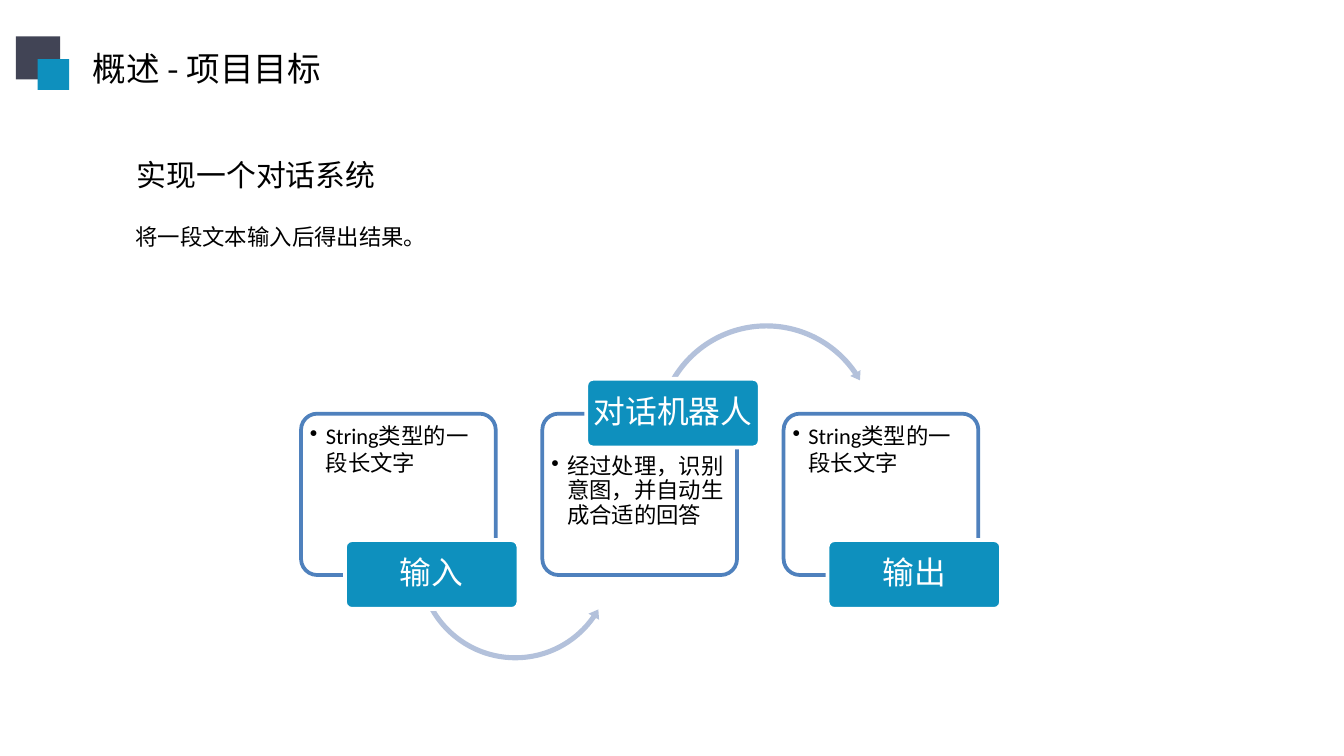
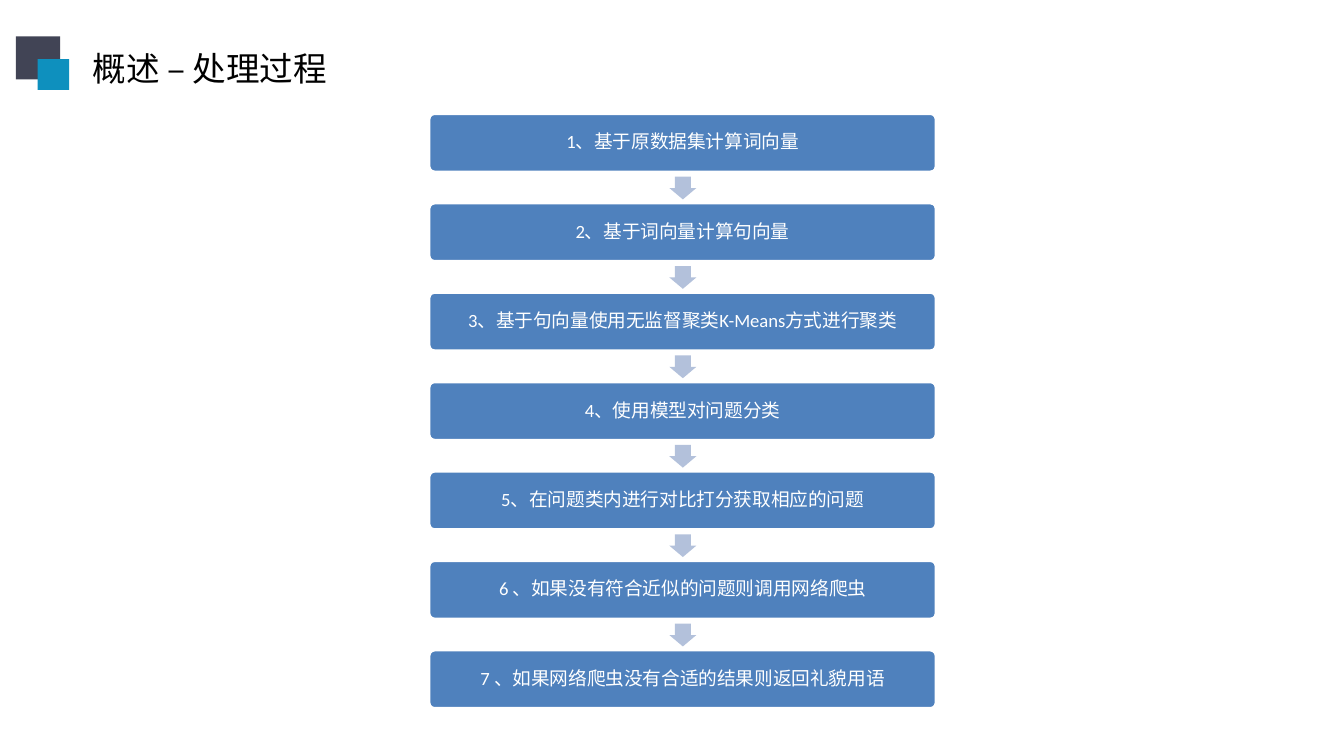
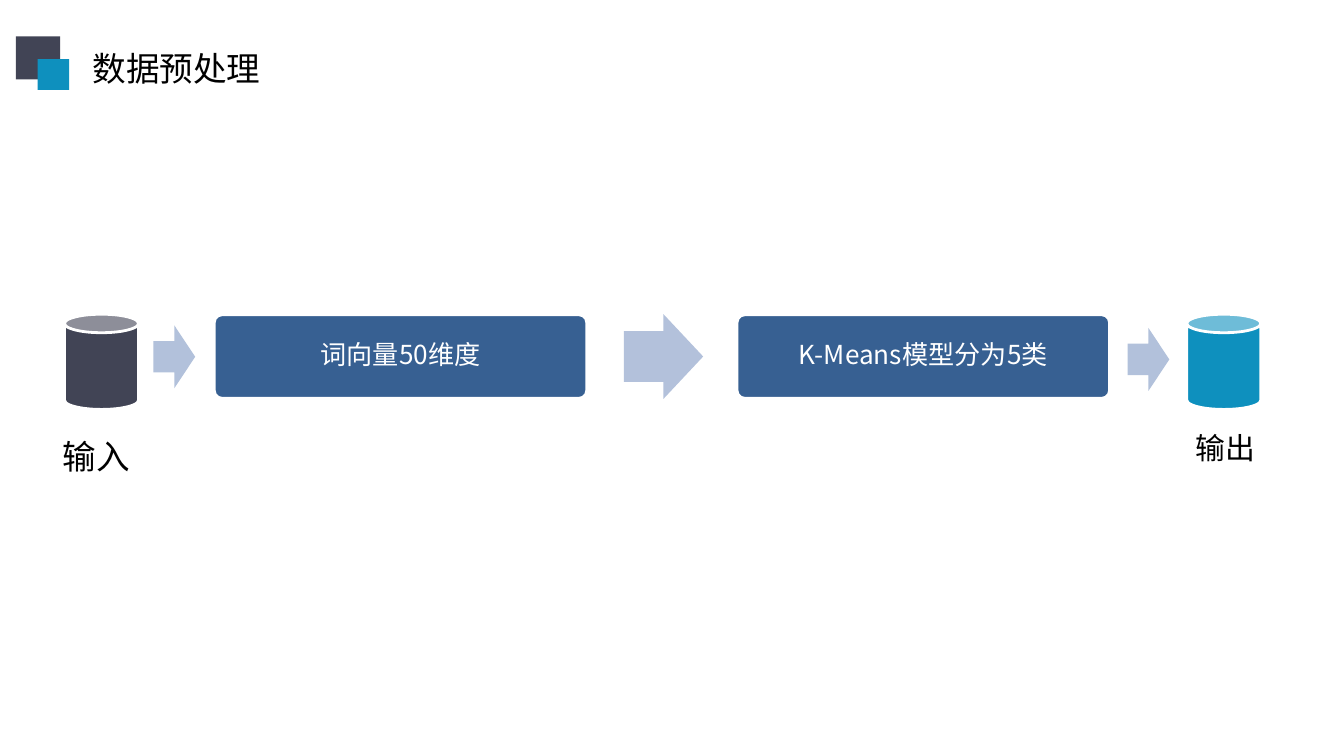
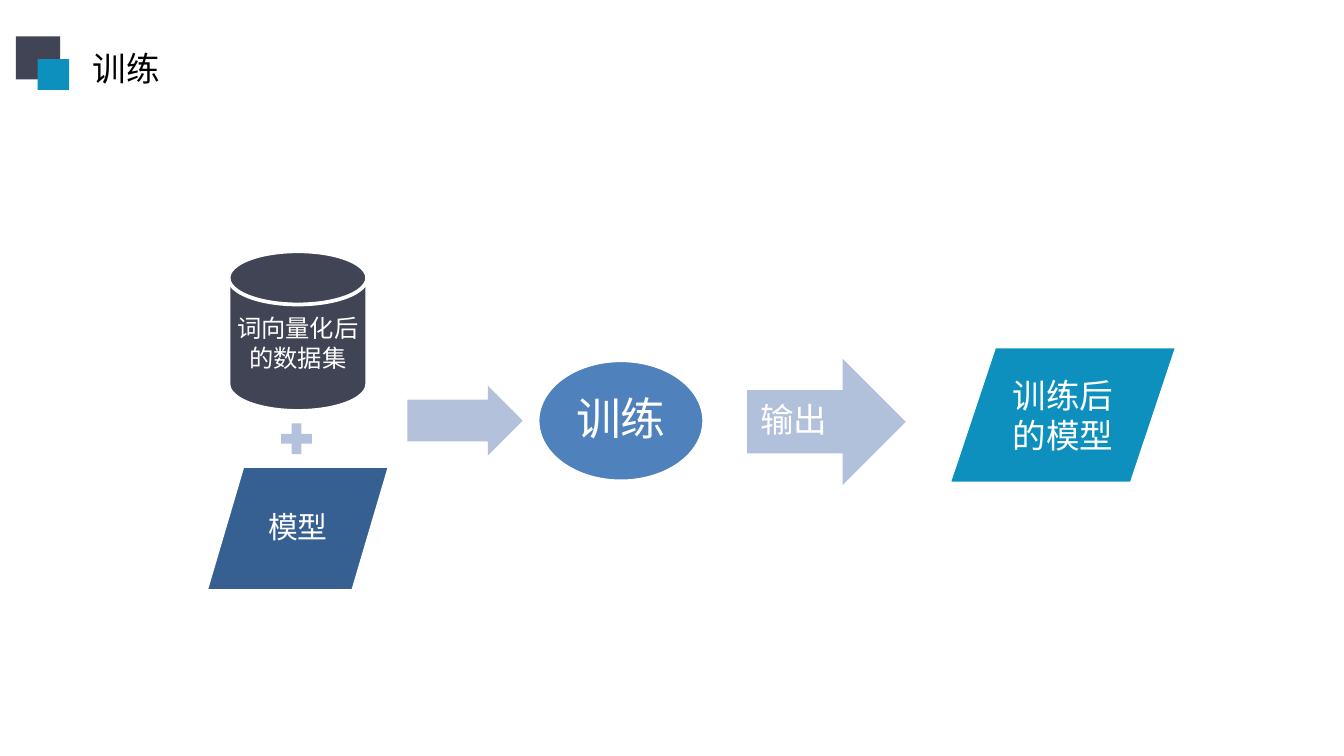
"""Build four slides that explain how a dialogue system is prepared and trained."""
from lxml import etree
from pptx import Presentation, util as u
from pptx.dml.color import RGBColor
from pptx.enum import shapes, text
from pptx.oxml.ns import qn

COLOURS = {
    "black": "000000",
    "white": "FFFFFF",
    "slate": "414455",
    "teal": "0E90BE",
    "blue": "4F81BD",
    "navy": "376092",
    "arrow": "B3C1DB",
    "pale arrow": "B2C1DB",
}
SANS = "Noto Sans CJK SC"
LATIN = "Calibri"
MONO = "Courier New"
SHAPE = shapes.MSO_SHAPE
CENTER = text.PP_ALIGN.CENTER
MIDDLE = text.MSO_ANCHOR.MIDDLE
TOP = text.MSO_ANCHOR.TOP


def place(slide, preset, box, fill=None, line=None, width=2, adjust=()):
    """Add a preset shape, or a text box when preset is None; box is in cm."""
    left, top, wide, high = [u.Cm(length) for length in box]
    if preset is None:
        return slide.shapes.add_textbox(left, top, wide, high)
    part = slide.shapes.add_shape(preset, left, top, wide, high)
    part.shadow.inherit = False
    part.fill.solid()
    part.fill.fore_color.rgb = RGBColor.from_string(COLOURS[fill])
    if line:
        part.line.color.rgb = RGBColor.from_string(COLOURS[line])
        part.line.width = u.Pt(width)
    else:
        part.line.fill.background()
    for index, value in enumerate(adjust):
        part.adjustments[index] = value
    return part


def write(part, content, size, font=SANS, colour="white", align=CENTER,
          anchor=MIDDLE, inset=0.05, spacing=0.9):
    """Fill a shape with text and format every run; inset is in cm."""
    frame = part.text_frame
    frame.text = content
    frame.word_wrap = True
    frame.vertical_anchor = anchor
    frame.margin_left = frame.margin_right = u.Cm(inset)
    frame.margin_top = frame.margin_bottom = u.Cm(inset)
    for paragraph in frame.paragraphs:
        paragraph.alignment = align
        paragraph.line_spacing = spacing
        for run in paragraph.runs:
            run.font.size = u.Pt(size)
            run.font.name = font
            run.font.color.rgb = RGBColor.from_string(COLOURS[colour])
            east_asian = etree.SubElement(run.font._element, qn("a:ea"))
            east_asian.set("typeface", font)
    return frame


prs = Presentation()
prs.slide_width, prs.slide_height = u.Cm(25.4), u.Cm(14.29)
plain = dict(colour="black", align=text.PP_ALIGN.LEFT, anchor=TOP)

slides = []
titles = [("概述 - 项目目标", 5.03), ("概述 – 处理过程", 5.08),
          ("数据预处理", 3.75), ("训练", 1.9)]
for title, wide in titles:
    slide = prs.slides.add_slide(prs.slide_layouts[6])
    heading = place(slide, None, (1.5, 0.74, wide, 1.02))
    write(heading, title, 18, inset=0.25, **plain)
    place(slide, SHAPE.RECTANGLE, (0.3, 0.69, 0.84, 0.81), "slate")
    place(slide, SHAPE.RECTANGLE, (0.71, 1.12, 0.6, 0.58), "teal")
    slides.append(slide)
goal, process, preparation, training = slides

goal_text = place(goal, None, (2.31, 3.81, 20.83, 0.91))
write(goal_text, "将一段文本输入后得出结果。", 12, inset=0.25, spacing=1.3, **plain)
goal_heading = place(goal, None, (2.34, 2.79, 5.03, 0.94))
write(goal_heading, "实现一个对话系统", 16, inset=0.25, **plain)

stages = [
    ("输入", "String类型的一段长文字", 10.21, 0.08, 1),
    ("对话机器人", "经过处理，识别意图，并自动生成合适的回答", 7.16, 0.7, 0.9),
    ("输出", "String类型的一段长文字", 10.21, 0.08, 1),
]
turns = [
    (SHAPE.LEFT_CIRCULAR_ARROW, (7.82, 8.71, 3.84, 3.84),
     (0.025, 3.094, 20.849, 90.245, 0.03)),
    (SHAPE.CIRCULAR_ARROW, (12.34, 6.05, 4.29, 4.29),
     (0.023, 2.738, 195.507, 125.755, 0.026)),
]
for index, (label, detail, label_top, detail_inset, spacing) in enumerate(stages):
    left = 5.69 + 4.56 * index
    card = place(goal, SHAPE.ROUNDED_RECTANGLE, (left, 7.82, 3.68, 3.05),
                 "white", "blue", adjust=[0.1])
    frame = write(card, detail, 12, LATIN, inset=0.08, spacing=spacing, **plain)
    frame.margin_top = u.Cm(detail_inset)
    properties = frame.paragraphs[0]._p.get_or_add_pPr()
    properties.set("marL", str(u.Cm(0.3)))
    properties.set("indent", str(u.Cm(-0.3)))
    etree.SubElement(properties, qn("a:buChar")).set("char", "•")
    if index < len(turns):
        preset, box, adjust = turns[index]
        place(goal, preset, box, "arrow", adjust=adjust)
    tag = place(goal, SHAPE.ROUNDED_RECTANGLE, (left + 0.83, label_top, 3.28, 1.3),
                "teal", "white", adjust=[0.1])
    write(tag, label, 17, LATIN, inset=0.02)

steps = [
    "1、基于原数据集计算词向量",
    "2、基于词向量计算句向量",
    "3、基于句向量使用无监督聚类K-Means方式进行聚类",
    "4、使用模型对问题分类",
    "5、在问题类内进行对比打分获取相应的问题",
    "6 、如果没有符合近似的问题则调用网络爬虫",
    "7 、如果网络爬虫没有合适的结果则返回礼貌用语",
]
for index, step in enumerate(steps):
    top = 2.14 + 1.69 * index
    bar = place(process, SHAPE.ROUNDED_RECTANGLE, (8.1, top, 9.6, 1.12),
                "blue", "white", adjust=[0.1])
    write(bar, step, 10, LATIN)
    if index < len(steps) - 1:
        pointer = place(process, SHAPE.RIGHT_ARROW, (12.69, top + 1.16, 0.43, 0.51),
                        "arrow", adjust=[0.6, 0.5])
        pointer.rotation = 90

for left, content in [(4.04, "词向量50维度"), (13.92, "K-Means模型分为5类")]:
    operation = place(preparation, SHAPE.ROUNDED_RECTANGLE, (left, 5.94, 7.06, 1.6),
                      "navy", "white", adjust=[0.1])
    write(operation, content, 14)
place(preparation, SHAPE.RIGHT_ARROW, (11.79, 5.94, 1.5, 1.6), "arrow",
      adjust=[0.6, 0.5])
ends = [
    (1.22, "slate", 2.9, 6.15, "输入", 18, (0.94, 8.08, 1.98, 1.02)),
    (22.43, "teal", 21.31, 6.2, "输出", 16, (22.35, 7.95, 2.11, 0.94)),
]
for left, colour, arrow_left, arrow_top, caption, size, caption_box in ends:
    place(preparation, SHAPE.CAN, (left, 5.94, 1.4, 1.8), colour, "white", 1.5)
    place(preparation, SHAPE.RIGHT_ARROW, (arrow_left, arrow_top, 0.79, 1.19),
          "pale arrow")
    write(place(preparation, None, caption_box), caption, size, inset=0.25, **plain)

dataset = place(training, SHAPE.FLOWCHART_MAGNETIC_DISK, (4.32, 4.75, 2.62, 3.02),
                "slate", "white")
frame = write(dataset, "词向量化后\n的数据集", 13)
frame.paragraphs[0].space_after = u.Pt(2)
place(training, SHAPE.MATH_PLUS, (5.21, 7.9, 0.79, 0.79), "arrow")
model = place(training, SHAPE.FLOWCHART_DATA, (3.89, 8.81, 3.48, 2.36),
              "navy", "white")
write(model, "模型", 16)
place(training, SHAPE.RIGHT_ARROW, (7.7, 7.29, 2.18, 1.32), "arrow",
      adjust=[0.6, 0.5])
fitting = place(training, SHAPE.OVAL, (10.16, 6.81, 3.15, 2.29), "blue", "white")
write(fitting, "训练", 24)
output = place(training, SHAPE.RIGHT_ARROW, (14.12, 6.78, 3, 2.39), "pale arrow")
write(output, "输出", 18, align=text.PP_ALIGN.LEFT, inset=0.25)
trained_model = place(training, SHAPE.FLOWCHART_DATA, (17.93, 6.55, 4.32, 2.59),
                      "teal", "white")
write(trained_model, "训练后的模型", 18, MONO, inset=0.2, spacing=1)

prs.save("out.pptx")
